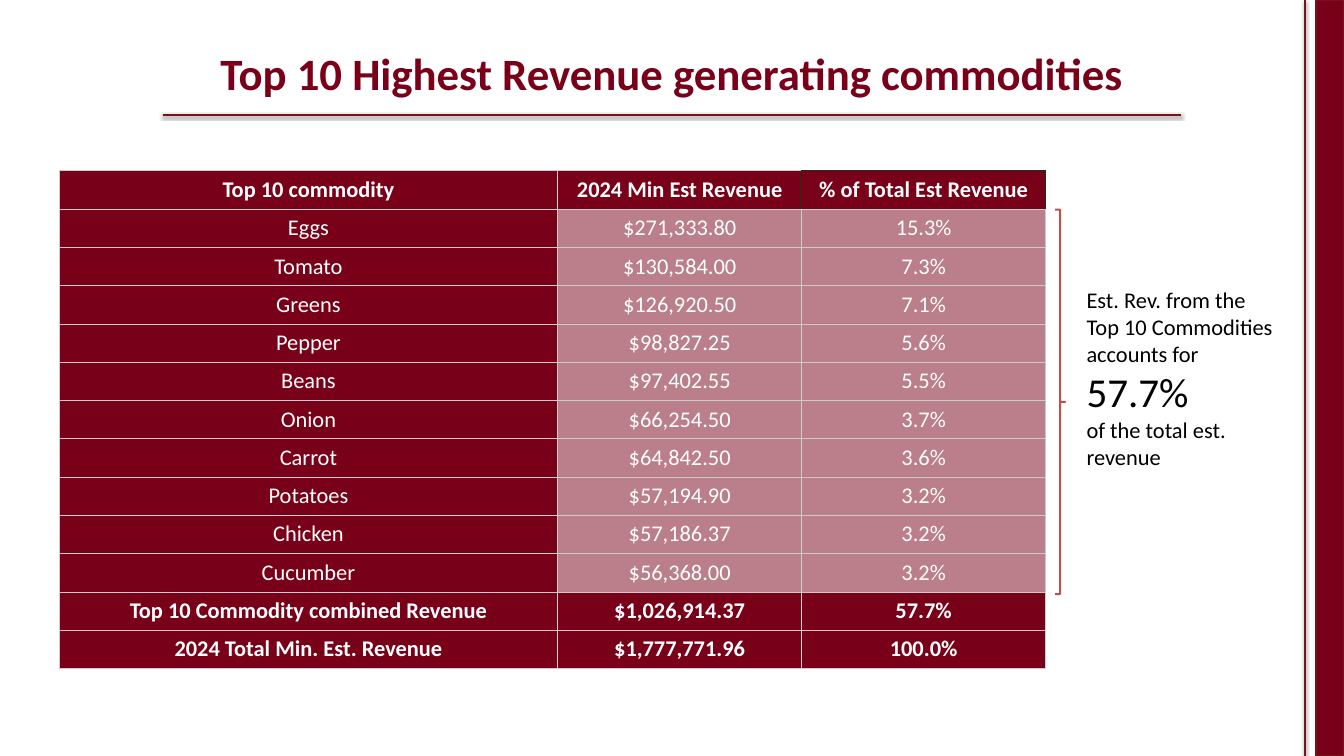
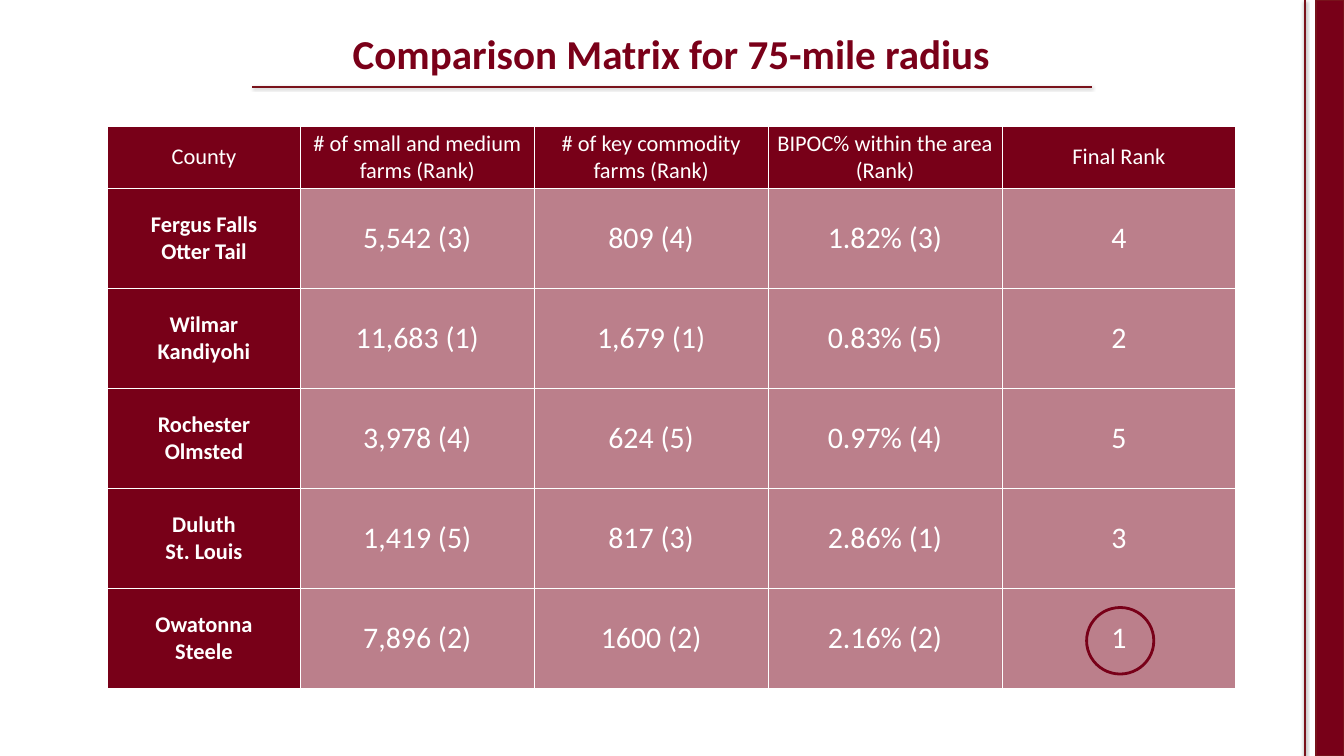
"""Build two slides: the top revenue commodities and the county comparison matrix."""
import dataclasses

import lxml.etree
import pptx
import pptx.dml.color
import pptx.enum.shapes
import pptx.enum.text
import pptx.oxml
import pptx.oxml.ns
import pptx.util


@dataclasses.dataclass(frozen=True)
class Theme:
    """Colours, font and type sizes of the deck."""
    font: str = "Calibri"
    maroon: str = "780018"
    title: str = "7A0019"
    rule: str = "79121B"
    brace: str = "C0504D"
    grid: str = "CCCCCC"
    dark_edge: str = "202F0C"
    white: str = "FFFFFF"
    black: str = "000000"
    text_size: int = 24
    value_size: int = 32
    figure_size: int = 44


theme = Theme()
colour = pptx.dml.color.RGBColor.from_string
qn = pptx.oxml.ns.qn
namespace = pptx.oxml.ns.nsdecls("a")
centre = pptx.enum.text.PP_ALIGN.CENTER
middle = pptx.enum.text.MSO_ANCHOR.MIDDLE
shapes_kind = pptx.enum.shapes.MSO_SHAPE

presentation = pptx.Presentation()
presentation.slide_width = pptx.util.Inches(20)
presentation.slide_height = pptx.util.Inches(11.25)
grid_unit = presentation.slide_width / 20


def grid(*counts):
    """Turn counts of grid columns or rows into lengths."""
    return [pptx.util.Emu(round(count * grid_unit)) for count in counts]


def write(paragraph, text, size, text_colour, bold=False):
    """Add one formatted run to a paragraph."""
    run = paragraph.add_run()
    run.text = text
    run.font.name = theme.font
    run.font.size = pptx.util.Pt(size)
    run.font.bold = bold
    run.font.color.rgb = colour(text_colour)


commodities = [
    ("Top 10 commodity", "2024 Min Est Revenue", "% of Total Est Revenue"),
    ("Eggs", "$271,333.80", "15.3%"),
    ("Tomato", "$130,584.00", "7.3%"),
    ("Greens", "$126,920.50", "7.1%"),
    ("Pepper", "$98,827.25", "5.6%"),
    ("Beans", "$97,402.55", "5.5%"),
    ("Onion", "$66,254.50", "3.7%"),
    ("Carrot", "$64,842.50", "3.6%"),
    ("Potatoes", "$57,194.90", "3.2%"),
    ("Chicken", "$57,186.37", "3.2%"),
    ("Cucumber", "$56,368.00", "3.2%"),
    ("Top 10 Commodity combined Revenue", "$1,026,914.37", "57.7%"),
    ("2024 Total Min. Est. Revenue", "$1,777,771.96", "100.0%"),
]
counties = [
    ("County", "# of small and medium\nfarms (Rank)", "# of key commodity farms (Rank)",
     "BIPOC% within the area (Rank)", "Final Rank"),
    ("Fergus Falls\nOtter Tail", "5,542 (3)", "809 (4)", "1.82% (3)", "4"),
    ("Wilmar\nKandiyohi", "11,683 (1)", "1,679 (1)", "0.83% (5)", "2"),
    ("Rochester\nOlmsted", "3,978 (4)", "624 (5)", "0.97% (4)", "5"),
    ("Duluth\nSt. Louis", "1,419 (5)", "817 (3)", "2.86% (1)", "3"),
    ("Owatonna\nSteele", "7,896 (2)", "1600 (2)", "2.16% (2)", "1"),
]
pages = [
    dict(title="Top 10 Highest Revenue generating commodities", title_size=48,
         title_top=0.63, title_inset=0.05, rule=(2.42, 17.58, 1.71),
         rows=commodities, corner=(0.88, 2.54), widths=[7.42, 3.63, 3.63],
         heights=[0.57] * 13, insets=(0.02, 0), body_size=theme.text_size,
         edge=theme.grid, edge_width=0.75, total_rows=(11, 12), bold_rows=(0, 11, 12),
         bold_labels=False, ring=None,
         dark_edges={(0, 1): "R", (0, 2): "LTR"}),
    dict(title="Comparison Matrix for 75-mile radius", title_size=44,
         title_top=0, title_inset=0.42, rule=(3.75, 16.25, 1.29),
         rows=counties, corner=(1.6, 1.88), widths=[2.87] + [3.48] * 4,
         heights=[0.92] + [1.49] * 5, insets=(0.1, 0.05), body_size=theme.value_size,
         edge=theme.white, edge_width=1, total_rows=(), bold_rows=(),
         bold_labels=True, ring=(16.17, 9.04, 1, 0.99), dark_edges={}),
]

for page in pages:
    slide = presentation.slides.add_slide(presentation.slide_layouts[5])
    title = slide.shapes.title
    title.left, title.top, title.width, title.height = grid(1.37, page["title_top"], 17.25, 2.17)
    frame = title.text_frame
    frame.auto_size = pptx.enum.text.MSO_AUTO_SIZE.NONE
    frame.vertical_anchor = pptx.enum.text.MSO_ANCHOR.TOP
    frame.margin_top = grid(page["title_inset"])[0]
    frame.paragraphs[0].alignment = centre
    write(frame.paragraphs[0], page["title"], page["title_size"], theme.title, True)

    if page["ring"]:
        ring = slide.shapes.add_shape(shapes_kind.OVAL, *grid(*page["ring"]))
        ring.shadow.inherit = False
        ring.fill.solid()
        ring.fill.fore_color.rgb = colour(theme.white)
        ring.line.color.rgb = colour(theme.maroon)
        ring.line.width = pptx.util.Pt(3)

    band = slide.shapes.add_shape(shapes_kind.RECTANGLE, *grid(19.58, 0, 0.42, 11.25))
    band.shadow.inherit = False
    band.fill.solid()
    band.fill.fore_color.rgb = colour(theme.maroon)
    band.line.color.rgb = colour(theme.rule)
    band.line.width = pptx.util.Pt(2)

    left, right, level = page["rule"]
    for ends, width, opacity, distance in [
        ((19.42, 0, 19.42, 11.25), 3, 35, 1.8),
        ((left, level, right, level), 2, 38, 1.6),
    ]:
        rule = slide.shapes.add_connector(pptx.enum.shapes.MSO_CONNECTOR.STRAIGHT, *grid(*ends))
        rule.line.color.rgb = colour(theme.rule)
        rule.line.width = pptx.util.Pt(width)
        rule._element.spPr.append(pptx.oxml.parse_xml(
            f'<a:effectLst {namespace}><a:outerShdw blurRad="{pptx.util.Pt(3.1)}" '
            f'dist="{pptx.util.Pt(distance)}" dir="5400000" rotWithShape="0">'
            f'<a:srgbClr val="{theme.black}"><a:alpha val="{opacity * 1000}"/></a:srgbClr>'
            f'</a:outerShdw></a:effectLst>'))

    widths, heights = page["widths"], page["heights"]
    table = slide.shapes.add_table(
        len(heights), len(widths), *grid(*page["corner"], sum(widths), sum(heights))).table
    table.first_row = table.horz_banding = False
    for column, width in zip(table.columns, grid(*widths)):
        column.width = width
    for row, height in zip(table.rows, grid(*heights)):
        row.height = height

    for row_index, texts in enumerate(page["rows"]):
        for column_index, text in enumerate(texts):
            cell = table.cell(row_index, column_index)
            is_label = row_index == 0 or column_index == 0
            is_solid = is_label or row_index in page["total_rows"]
            is_bold = row_index in page["bold_rows"] or (
                page["bold_labels"] and column_index == 0 and row_index > 0)
            side, end = grid(*page["insets"])
            cell.margin_left = cell.margin_right = side
            cell.margin_top = cell.margin_bottom = end
            cell.vertical_anchor = middle
            for line_index, line in enumerate(text.split("\n")):
                paragraph = (cell.text_frame.add_paragraph() if line_index
                             else cell.text_frame.paragraphs[0])
                paragraph.alignment = centre
                write(paragraph, line, theme.text_size if is_label else page["body_size"],
                      theme.white, is_bold)
            properties = cell._tc.get_or_add_tcPr()
            dark_sides = page["dark_edges"].get((row_index, column_index), "")
            for edge in "LRTB":
                edge_colour = theme.dark_edge if edge in dark_sides else page["edge"]
                properties.append(pptx.oxml.parse_xml(
                    f'<a:ln{edge} {namespace} w="{pptx.util.Pt(page["edge_width"])}"><a:solidFill>'
                    f'<a:srgbClr val="{edge_colour}"/></a:solidFill></a:ln{edge}>'))
            cell.fill.solid()
            cell.fill.fore_color.rgb = colour(theme.maroon)
            if not is_solid:
                fill_colour = properties.find(qn("a:solidFill")).find(qn("a:srgbClr"))
                lxml.etree.SubElement(fill_colour, qn("a:alpha"), val="50000")

revenue_slide = presentation.slides[0]
brace = revenue_slide.shapes.add_shape(shapes_kind.RIGHT_BRACE, *grid(15.7, 3.12, 0.15, 5.72))
brace.adjustments[0] = 0
brace.adjustments[1] = 0.5
brace.shadow.inherit = False
brace.fill.background()
brace.line.color.rgb = colour(theme.brace)
brace.line.width = pptx.util.Pt(2.25)

note = revenue_slide.shapes.add_textbox(*grid(16.07, 4.21, 3.09, 2.86)).text_frame
note.word_wrap = True
note.auto_size = pptx.enum.text.MSO_AUTO_SIZE.SHAPE_TO_FIT_TEXT
for index, (text, size) in enumerate([
    ("Est. Rev. from the Top 10 Commodities accounts for", theme.text_size),
    ("57.7%", theme.figure_size),
    ("of the total est. revenue", theme.text_size),
]):
    paragraph = note.add_paragraph() if index else note.paragraphs[0]
    write(paragraph, text, size, theme.black)

presentation.save("out.pptx")
